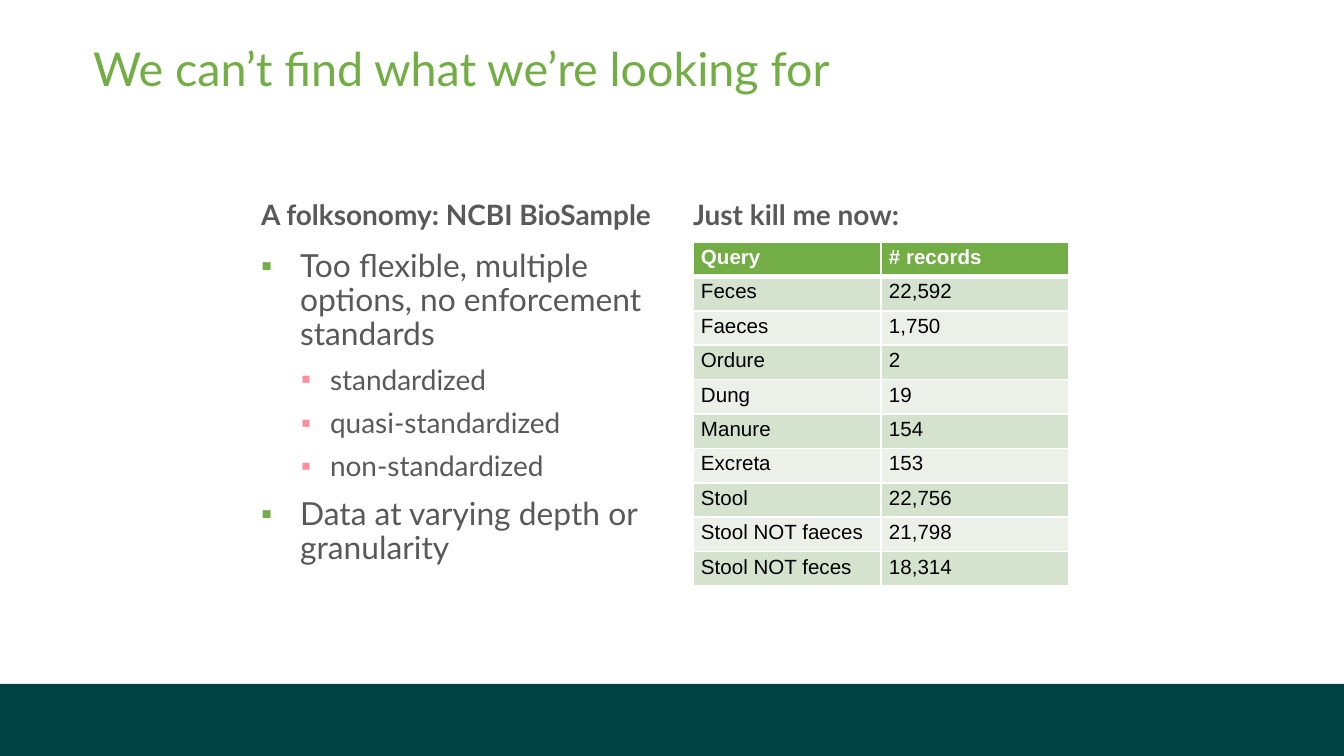
"""Build the slide on inconsistent search terms in sample records."""
from lxml.etree import SubElement
from pptx import Presentation
from pptx.dml.color import RGBColor
from pptx.enum.shapes import MSO_SHAPE as Shape
from pptx.enum.text import MSO_ANCHOR as Anchor, MSO_AUTO_SIZE as AutoSize, PP_ALIGN as Align
from pptx.oxml.ns import qn
from pptx.util import Pt

GREEN, PINK, GREY, TEAL = "72AD46", "FF8C9A", "595959", "004342"
WHITE, BLACK = "FFFFFF", "000000"
BANDS = ("D4E2CE", "EBF1E8")

TITLE = "We can’t find what we’re looking for"
LIST_HEADING = "A folksonomy: NCBI BioSample"
TABLE_HEADING = "Just kill me now:"
POINTS = [
    (0, "Too flexible, multiple options, no enforcement standards"),
    (1, "standardized"),
    (1, "quasi-standardized"),
    (1, "non-standardized"),
    (0, "Data at varying depth or granularity"),
]
LEVELS = [
    {"size": 17, "before": 8, "left": 39, "hang": 39, "bullet": GREEN},
    {"size": 15, "before": 7, "left": 69, "hang": 29, "bullet": PINK},
]
RECORDS = [
    ("Query", "# records"),
    ("Feces", "22,592"),
    ("Faeces", "1,750"),
    ("Ordure", "2"),
    ("Dung", "19"),
    ("Manure", "154"),
    ("Excreta", "153"),
    ("Stool", "22,756"),
    ("Stool NOT faeces", "21,798"),
    ("Stool NOT feces", "18,314"),
]
SLIDE_WIDTH, SLIDE_HEIGHT = 1344, 756
TABLE_BOX = (693, 242, 376, 344)


def px(length):
    return round(length * 9144000 / SLIDE_WIDTH)


def color(value):
    return RGBColor.from_string(value)


def style(para, size, value, bold=False, name="Lato"):
    for span in para.runs:
        font = span.font
        font.name, font.size, font.bold = name, Pt(size), bold
        font.color.rgb = color(value)


def place(box, bounds, anchor=Anchor.TOP):
    box.left, box.top, box.width, box.height = map(px, bounds)
    frame = box.text_frame
    frame.word_wrap, frame.auto_size = True, AutoSize.NONE
    frame.vertical_anchor = anchor
    frame.margin_left = frame.margin_top = frame.margin_right = frame.margin_bottom = 0
    return frame


def fill_text(box, bounds, text, size, value, bold=False, anchor=Anchor.TOP):
    frame = place(box, bounds, anchor)
    frame.text = text
    para = frame.paragraphs[0]
    para.alignment, para.space_before = Align.LEFT, Pt(0)
    style(para, size, value, bold)


def add_bullet(para, look):
    props = para._p.get_or_add_pPr()
    props.set("marL", str(px(look["left"])))
    props.set("indent", str(-px(look["hang"])))
    SubElement(SubElement(props, qn("a:buClr")), qn("a:srgbClr"), val=look["bullet"])
    SubElement(props, qn("a:buChar"), char="▪")


def fill_list(box, bounds):
    frame = place(box, bounds)
    frame.text = "\n".join(text for _, text in POINTS)
    for index, (para, (level, _)) in enumerate(zip(frame.paragraphs, POINTS)):
        look = LEVELS[level]
        para.level = level
        add_bullet(para, look)
        para.line_spacing = 0.9
        para.space_before = Pt(look["before"] if index else 0)
        style(para, look["size"], GREY)


def add_borders(cell, header):
    props = cell._tc.get_or_add_tcPr()
    for side in ("lnL", "lnR", "lnT", "lnB"):
        width = Pt(3 if header and side == "lnB" else 1)
        line = SubElement(props, qn(f"a:{side}"), w=str(width))
        SubElement(SubElement(line, qn("a:solidFill")), qn("a:srgbClr"), val=WHITE)


def add_records(slide):
    bounds = map(px, TABLE_BOX)
    table = slide.shapes.add_table(len(RECORDS), len(RECORDS[0]), *bounds).table
    for row, values in enumerate(RECORDS):
        header = row == 0
        for column, text in enumerate(values):
            cell = table.cell(row, column)
            cell.text = text
            cell.margin_left = cell.margin_right = px(8)
            cell.margin_top = cell.margin_bottom = px(4)
            add_borders(cell, header)
            cell.fill.solid()
            cell.fill.fore_color.rgb = color(GREEN if header else BANDS[(row - 1) % 2])
            style(cell.text_frame.paragraphs[0], 11, WHITE if header else BLACK, header, "Arial")


def add_footer_band(slide):
    bounds = map(px, (0, 684, SLIDE_WIDTH, SLIDE_HEIGHT - 684))
    band = slide.shapes.add_shape(Shape.RECTANGLE, *bounds)
    band.shadow.inherit = False
    band.fill.solid()
    band.fill.fore_color.rgb = color(TEAL)
    band.line.fill.background()


def main():
    deck = Presentation()
    deck.slide_width, deck.slide_height = px(SLIDE_WIDTH), px(SLIDE_HEIGHT)
    page = deck.slides.add_slide(deck.slide_layouts.get_by_name("Comparison"))
    title, list_heading, points, table_heading, spare = page.placeholders
    spare.element.getparent().remove(spare.element)

    add_footer_band(page)
    fill_text(title, (93, 40, 1158, 146), TITLE, 25, GREEN)
    fill_text(list_heading, (261, 172, 418, 59), LIST_HEADING, 15, GREY, True, Anchor.BOTTOM)
    fill_list(points, (261, 250, 405, 343))
    fill_text(table_heading, (693, 172, 376, 59), TABLE_HEADING, 15, GREY, True, Anchor.BOTTOM)
    add_records(page)
    deck.save("out.pptx")


if __name__ == "__main__":
    main()
